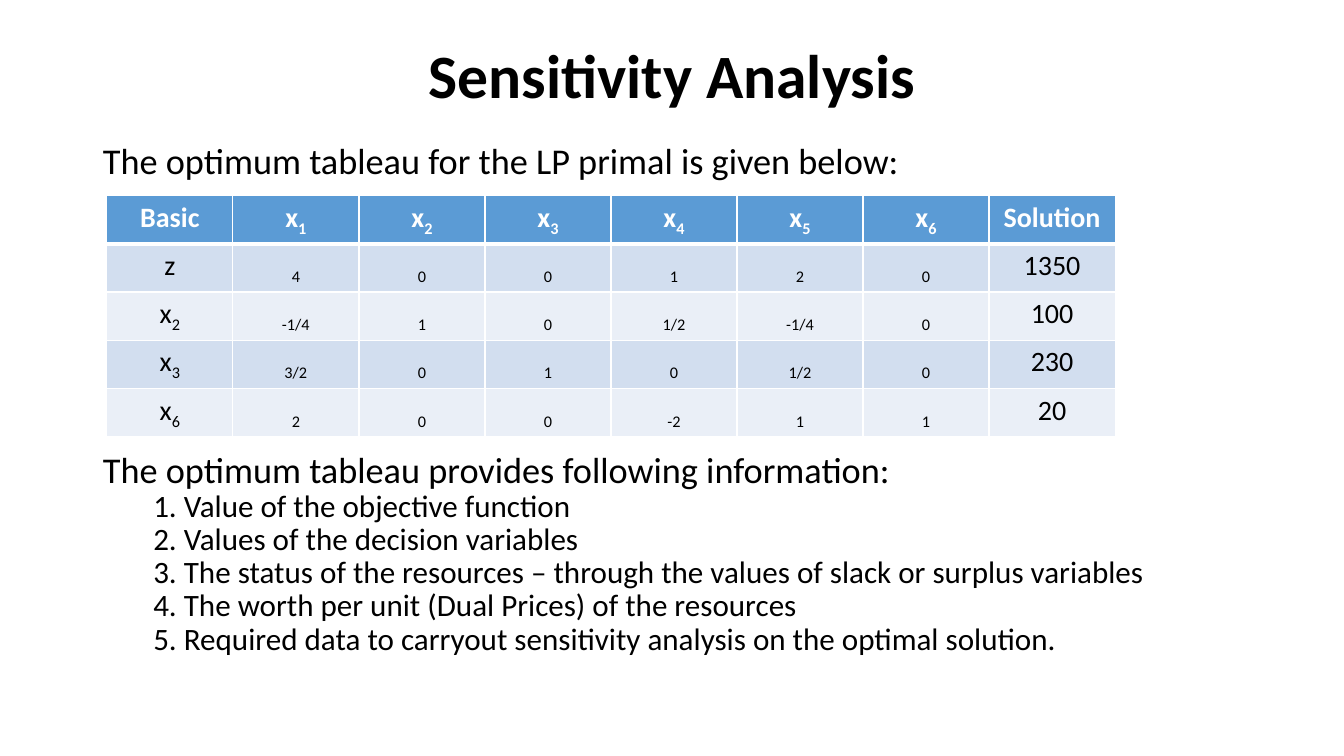
"""Build the Sensitivity Analysis slide with its optimum tableau."""
from lxml.etree import SubElement
from pptx import Presentation
from pptx.dml.color import RGBColor
from pptx.enum.text import MSO_ANCHOR, MSO_AUTO_SIZE, PP_ALIGN
from pptx.oxml.ns import qn
from pptx.util import Inches, Pt

TITLE = "Sensitivity Analysis"
INTRODUCTION = "The optimum tableau for the LP primal is given below:"
INFORMATION = "The optimum tableau provides following information:"
INFORMATION_ITEMS = [
    "1. Value of the objective function",
    "2. Values of the decision variables",
    "3. The status of the resources – through the values of slack or surplus variables",
    "4. The worth per unit (Dual Prices) of the resources",
    "5. Required data to carryout sensitivity analysis on the optimal solution.",
]
TABLEAU = [
    ["Basic", "x1", "x2", "x3", "x4", "x5", "x6", "Solution"],
    ["z", "4", "0", "0", "1", "2", "0", "1350"],
    ["x2", "-1/4", "1", "0", "1/2", "-1/4", "0", "100"],
    ["x3", "3/2", "0", "1", "0", "1/2", "0", "230"],
    ["x6", "2", "0", "0", "-2", "1", "1", "20"],
]
FONT = "Calibri"
BLACK, WHITE = "000000", "FFFFFF"
HEADER_FILL = "5B9BD5"
BAND_FILLS = ["EAEFF7", "D2DEEF"]
COLUMN_WIDTH, ROW_HEIGHT = 1.25, 0.43
TABLEAU_GAP = 199


def color(hex_string):
    return RGBColor.from_string(hex_string)


def place(shape, left, top, width, height):
    shape.left, shape.top = Inches(left), Inches(top)
    shape.width, shape.height = Inches(width), Inches(height)


def style_font(font, size, hex_color=BLACK, bold=False):
    font.name, font.size, font.bold = FONT, Pt(size), bold
    font.color.rgb = color(hex_color)


def add_title(slide):
    title = slide.shapes.title
    place(title, 0.92, 0.4, 11.5, 0.76)
    title.text_frame.text = TITLE
    title.text_frame.vertical_anchor = MSO_ANCHOR.MIDDLE
    paragraph = title.text_frame.paragraphs[0]
    paragraph.alignment, paragraph.line_spacing = PP_ALIGN.CENTER, 0.9
    style_font(paragraph.font, 44, bold=True)


def add_body(slide):
    body = slide.placeholders[1]
    place(body, 0.92, 1.44, 11.5, 5.64)
    frame = body.text_frame
    frame.auto_size = MSO_AUTO_SIZE.NONE
    lines = [(INTRODUCTION, 0, 25.9, 10), (INFORMATION, 0, 25.9, TABLEAU_GAP)]
    lines += [(item, 1, 22.2, 5) for item in INFORMATION_ITEMS]
    frame.text = "\n".join(line[0] for line in lines)
    for paragraph, (_, level, size, space) in zip(frame.paragraphs, lines):
        paragraph.level = level
        paragraph.alignment = PP_ALIGN.LEFT
        paragraph.line_spacing, paragraph.space_before = 0.7, Pt(space)
        style_font(paragraph.font, size)
        properties = paragraph._p.get_or_add_pPr()
        properties.set("marL", str(Inches(0.5 * level)))
        properties.set("indent", "0")
        bullet = SubElement(properties, qn("a:buNone"))
        properties.find(qn("a:spcBef")).addnext(bullet)


def set_borders(cell, bottom_width):
    properties = cell._tc.get_or_add_tcPr()
    for side, width in (("L", 1), ("R", 1), ("T", 1), ("B", bottom_width)):
        line = SubElement(properties, qn(f"a:ln{side}"), w=str(Pt(width)))
        SubElement(SubElement(line, qn("a:solidFill")), qn("a:srgbClr"), val=WHITE)


def split_subscript(text, is_coefficient):
    if is_coefficient:
        return "", text
    return (text[0], text[1:]) if text.startswith("x") else (text, "")


def fill_cell(cell, text, row, column):
    is_header = row == 0
    set_borders(cell, 3 if is_header else 1)
    cell.fill.solid()
    cell.fill.fore_color.rgb = color(HEADER_FILL if is_header else BAND_FILLS[row % 2])
    paragraph = cell.text_frame.paragraphs[0]
    paragraph.alignment = PP_ALIGN.CENTER
    style_font(paragraph.font, 20, WHITE if is_header else BLACK, is_header)
    is_coefficient = not is_header and 0 < column < len(TABLEAU[0]) - 1
    base, subscript = split_subscript(text, is_coefficient)
    for part, baseline in ((base, "0"), (subscript, "-25000")):
        if part:
            run = paragraph.add_run()
            run.text = part
            style_font(run.font, 20, WHITE if is_header else BLACK, is_header)
            run._r.get_or_add_rPr().set("baseline", baseline)


def add_tableau(slide):
    rows, columns = len(TABLEAU), len(TABLEAU[0])
    table = slide.shapes.add_table(
        rows, columns, Inches(1.06), Inches(1.94),
        Inches(COLUMN_WIDTH * columns), Inches(ROW_HEIGHT * rows)).table
    for row, values in enumerate(TABLEAU):
        for column, text in enumerate(values):
            fill_cell(table.cell(row, column), text, row, column)


def main():
    presentation = Presentation()
    presentation.slide_width, presentation.slide_height = Inches(13.33), Inches(7.5)
    slide = presentation.slides.add_slide(presentation.slide_layouts[1])
    add_title(slide)
    add_body(slide)
    add_tableau(slide)
    presentation.save("out.pptx")


if __name__ == "__main__":
    main()
